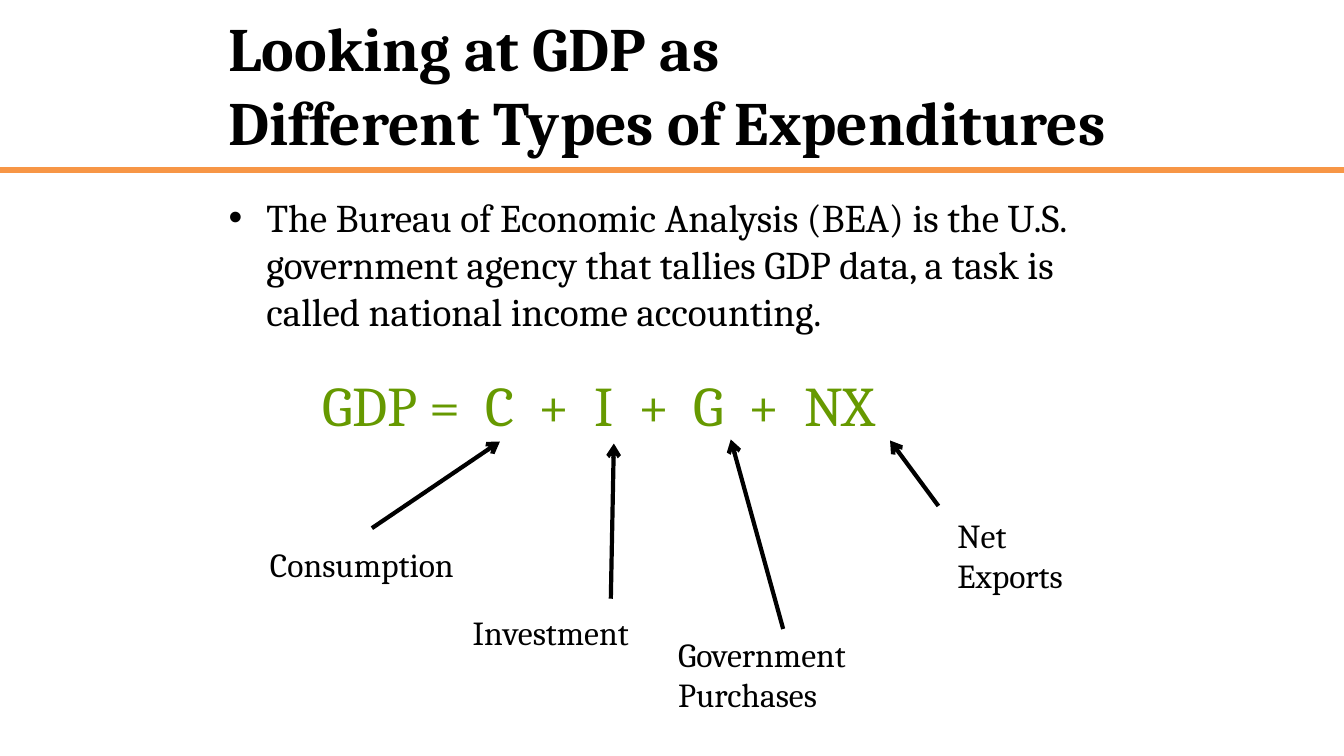
from lxml.etree import SubElement
from pptx import Presentation
from pptx.dml.color import RGBColor
from pptx.enum.shapes import MSO_CONNECTOR as Connector
from pptx.enum.text import MSO_ANCHOR as Anchor
from pptx.oxml.ns import qn
from pptx.util import Pt

WIDTH, HEIGHT = 960, 540
FONT = "Cambria"
BLACK, GREEN, ORANGE = "000000", "669900", "F79646"

TERMS = [
    (["Consumption"], (185.76, 385.2, 164.16, 36.72), (265.68, 377.28), (357.12, 315.36)),
    (["Investment"], (330.48, 433.44, 164.16, 36.72), (436.32, 427.68), (438.48, 316.8)),
    (["Government", "Purchases"], (477.36, 449.28, 164.16, 65.52), (559.44, 449.28), (522, 313.92)),
    (["Net", "Exports"], (676.8, 364.32, 123.12, 65.52), (670.32, 361.44), (635.76, 314.64)),
]


def color(hex_string):
    """Turn a hex string into a colour."""
    return RGBColor.from_string(hex_string)


def add_text(slide, box, paragraphs, size, hex_color=BLACK, bold=False, anchor=Anchor.TOP):
    """Place a text box; a newline inside a paragraph becomes a line break."""
    frame = slide.shapes.add_textbox(*map(Pt, box)).text_frame
    frame.word_wrap = True
    frame.vertical_anchor = anchor
    for index, text in enumerate(paragraphs):
        paragraph = frame.add_paragraph() if index else frame.paragraphs[0]
        for line_number, line in enumerate(text.split("\n")):
            if line_number:
                paragraph.add_line_break()
            run = paragraph.add_run()
            run.text = line
            run.font.name = FONT
            run.font.size = Pt(size)
            run.font.bold = bold
            run.font.color.rgb = color(hex_color)
    return frame


def add_line(slide, start, end, hex_color, width, arrow=False):
    """Draw a straight line, with an arrowhead at its end if wanted."""
    connector = slide.shapes.add_connector(Connector.STRAIGHT, *map(Pt, (*start, *end)))
    connector.line.color.rgb = color(hex_color)
    connector.line.width = Pt(width)
    if arrow:
        SubElement(connector.line._get_or_add_ln(), qn("a:tailEnd"), type="arrow")
    SubElement(connector._element.spPr, qn("a:effectLst"))


def add_header(slide, left, top, width, height):
    """Place the title and the full-width rule below it."""
    add_text(slide, (left, top, width, height),
             ["Looking at GDP as \nDifferent Types of Expenditures"], 44,
             bold=True, anchor=Anchor.MIDDLE)
    rule_top = top + height + 1.44
    add_line(slide, (0, rule_top), (WIDTH, rule_top), ORANGE, 4.5)


def add_body(slide, left, top, width, height):
    """Place the bulleted statement."""
    frame = add_text(slide, (left, top, width, height),
                     ["The Bureau of Economic Analysis (BEA) is the U.S. government agency "
                      "that tallies GDP data, a task is called national income accounting."], 28)
    properties = frame.paragraphs[0]._p.get_or_add_pPr()
    properties.set("marL", str(Pt(27)))
    properties.set("indent", str(-Pt(27)))
    SubElement(properties, qn("a:buFont"), typeface="Arial")
    SubElement(properties, qn("a:buChar"), char="•")


def add_equation(slide, left, top, width, height):
    """Place the equation, with a label and an arrow for each of its terms."""
    add_text(slide, (left, top, width, height), ["GDP =  C  +  I  +  G  +  NX"], 40, GREEN)
    for words, (x, y, label_width, label_height), start, end in TERMS:
        add_text(slide, (x, y, label_width, label_height), words, 24)
        add_line(slide, start, end, BLACK, 3, arrow=True)


def main():
    """Build and save the slide."""
    presentation = Presentation()
    presentation.slide_width, presentation.slide_height = Pt(WIDTH), Pt(HEIGHT)
    slide = presentation.slides.add_slide(presentation.slide_layouts[6])
    add_header(slide, 156.24, 0, 674.64, 120.24)
    add_body(slide, 156.24, 134.64, 648, 385.2)
    add_equation(slide, 223.2, 261.36, 496.08, 55.44)
    presentation.save("out.pptx")


if __name__ == "__main__":
    main()
